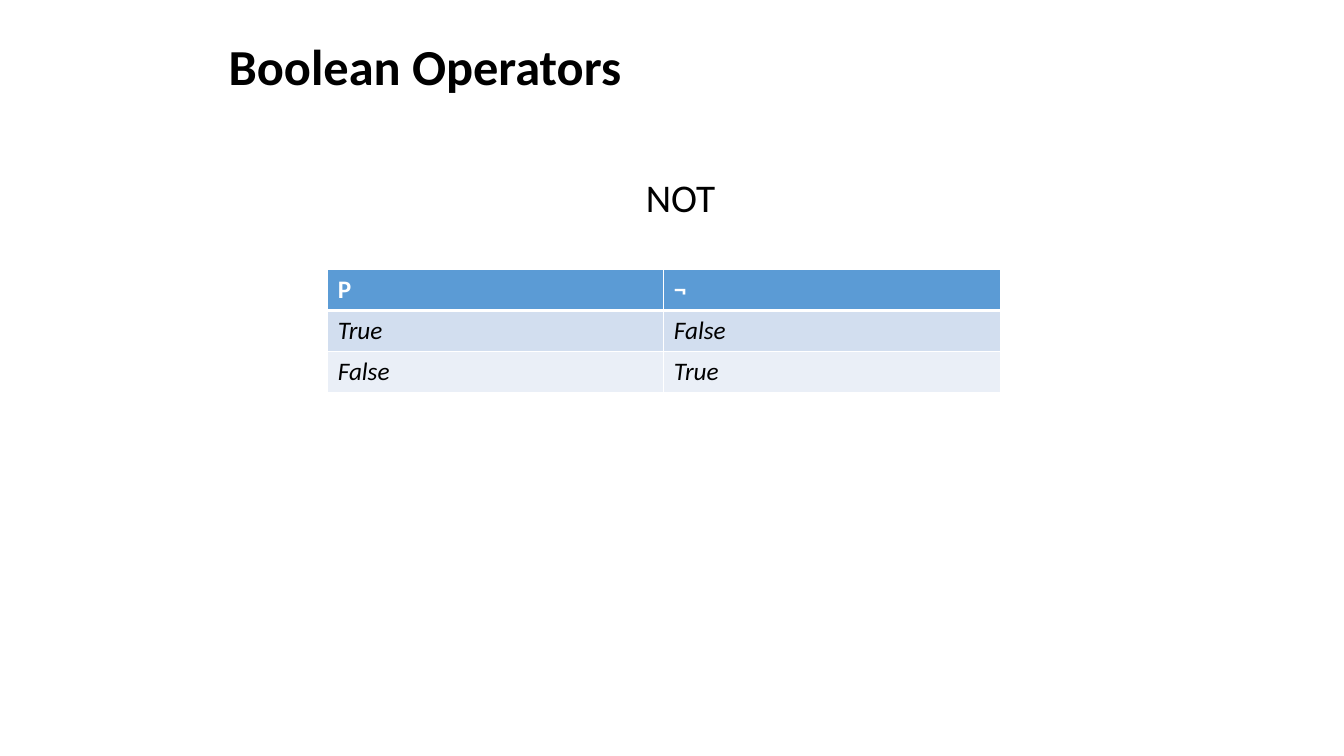
"""Build a slide with the truth table of the NOT operator."""
import lxml.etree
import pptx
import pptx.dml.color
import pptx.enum.text
import pptx.oxml.ns
import pptx.util

Inches = pptx.util.Inches
Pt = pptx.util.Pt
qn = pptx.oxml.ns.qn


def color(hex_string):
    return pptx.dml.color.RGBColor.from_string(hex_string)


def write(frame, text, size, ink, bold=False, italic=False):
    para = frame.paragraphs[0]
    span = para.add_run()
    span.text = text
    span.font.name = "Calibri"
    span.font.size = Pt(size)
    span.font.bold = bold
    span.font.italic = italic
    span.font.color.rgb = color(ink)
    return para


deck = pptx.Presentation()
deck.slide_width = Inches(13.33)
deck.slide_height = Inches(7.5)
page = deck.slides.add_slide(deck.slide_layouts[6])

title_box = page.shapes.add_textbox(Inches(2.17), Inches(0.3), Inches(9), Inches(0.78))
title_box.text_frame.word_wrap = True
title_box.text_frame.vertical_anchor = pptx.enum.text.MSO_ANCHOR.MIDDLE
title = write(title_box.text_frame, "Boolean Operators", 36, "000000", bold=True)
title.line_spacing = 0.9

operator_box = page.shapes.add_textbox(Inches(4.25), Inches(1.67), Inches(5), Inches(0.57))
operator_box.text_frame.word_wrap = True
operator = write(operator_box.text_frame, "NOT", 28, "000000")
operator.alignment = pptx.enum.text.PP_ALIGN.CENTER

truth_rows = [("P", "¬"), ("True", "False"), ("False", "True")]
row_fills = ["5B9BD5", "D2DEEF", "EAEFF7"]
table = page.shapes.add_table(
    3, 2, Inches(3.25), Inches(2.67), Inches(6.67), Inches(1.22)
).table
for row in table.rows:
    row.height = Inches(0.41)

for row_index, (values, fill) in enumerate(zip(truth_rows, row_fills)):
    header = row_index == 0
    border_widths = {
        "a:lnL": 1,
        "a:lnR": 1,
        "a:lnT": 3 if row_index == 1 else 1,
        "a:lnB": 3 if header else 1,
    }
    for column_index, value in enumerate(values):
        cell = table.cell(row_index, column_index)
        write(cell.text_frame, value, 18, "FFFFFF" if header else "000000",
              bold=header, italic=not header)
        properties = cell._tc.get_or_add_tcPr()
        for side, width in border_widths.items():
            line = lxml.etree.SubElement(properties, qn(side), w=str(Pt(width)))
            line_fill = lxml.etree.SubElement(line, qn("a:solidFill"))
            lxml.etree.SubElement(line_fill, qn("a:srgbClr"), val="FFFFFF")
        cell.fill.solid()
        cell.fill.fore_color.rgb = color(fill)

deck.save("out.pptx")
